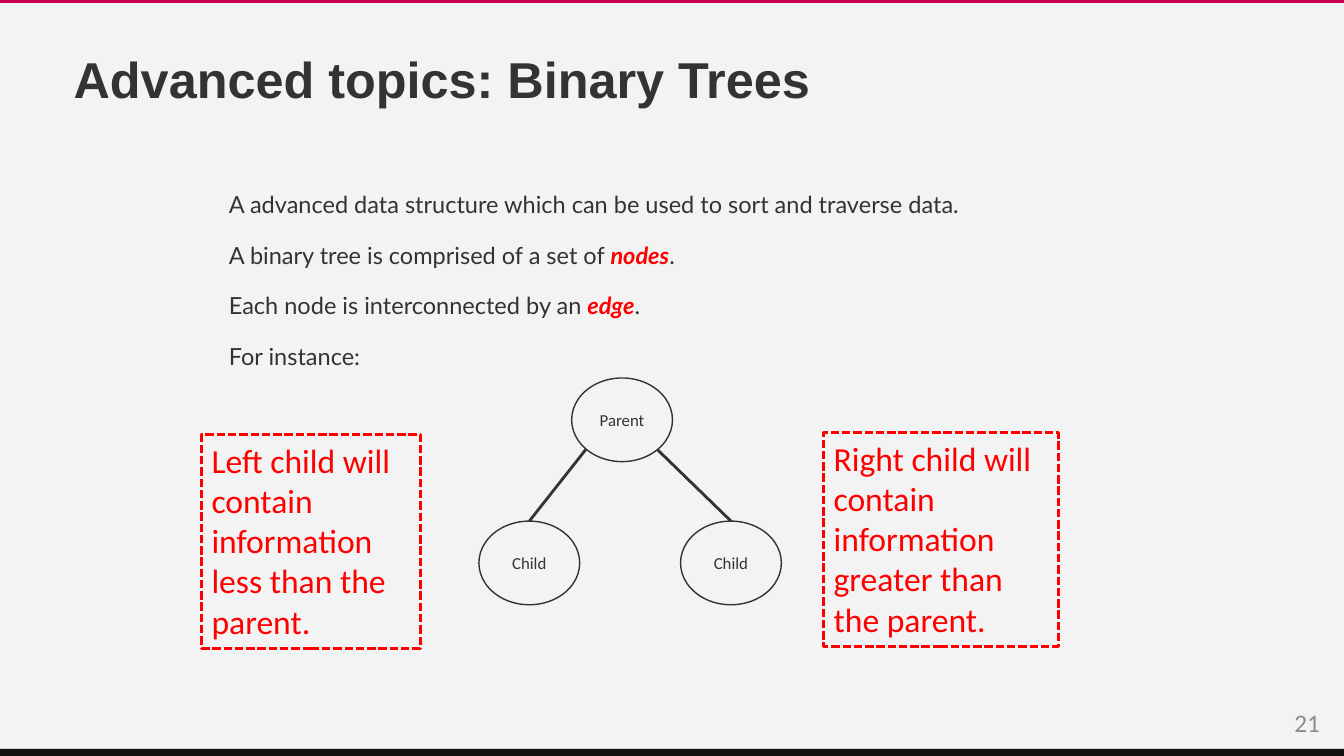
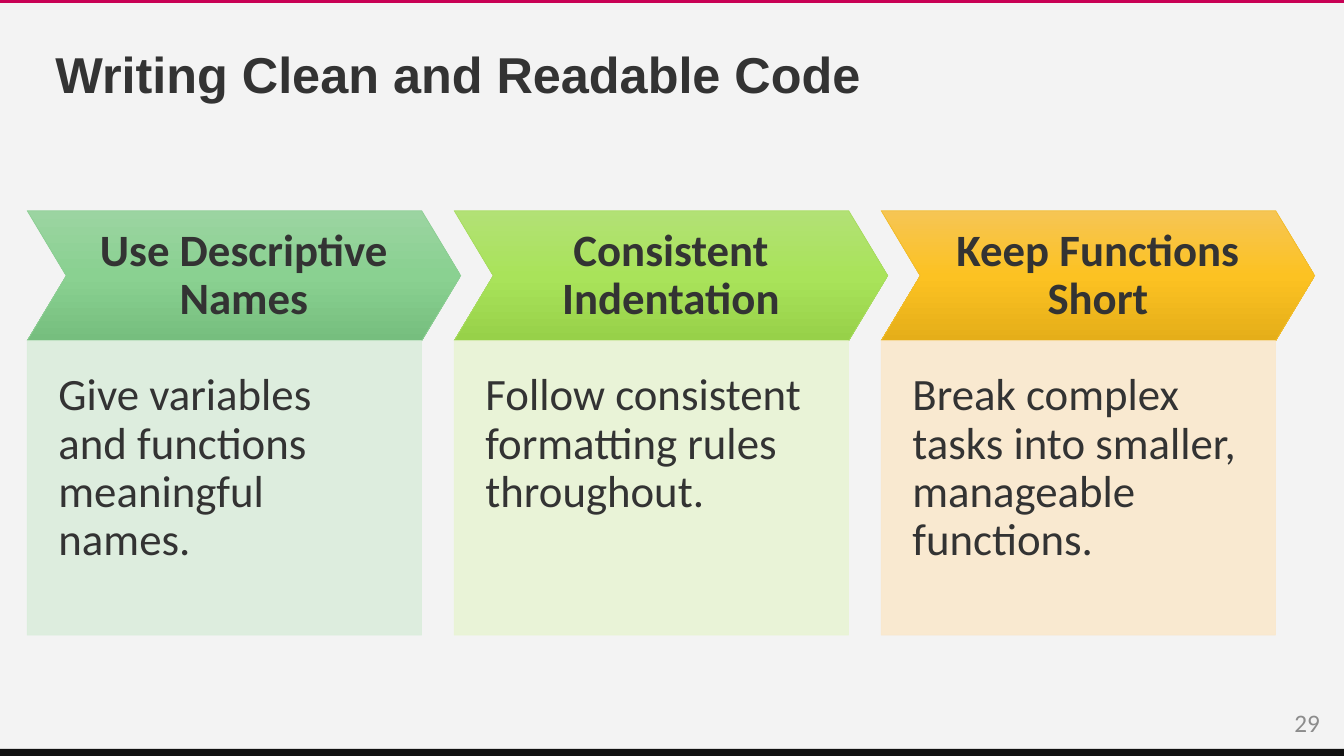
from copy import deepcopy
from lxml.etree import SubElement
from pptx import Presentation
from pptx.dml.color import RGBColor
from pptx.enum.dml import MSO_LINE
from pptx.enum.shapes import MSO_CONNECTOR, MSO_SHAPE
from pptx.enum.text import MSO_ANCHOR, MSO_AUTO_SIZE, PP_ALIGN
from pptx.oxml.ns import qn
from pptx.util import Inches, Pt

INK, RED, GREY = "333333", "FF0000", "8C8C8C"
PAPER, PINK, BLACK = "F3F3F3", "C80054", "101010"
HEAD = {"name": "Arial", "size": Pt(36), "bold": True}
BODY = {"name": "Lato", "size": Pt(16.8)}
PAGE = {"name": "Calibri", "size": Pt(18)}
NODE = {"name": "Calibri", "size": Pt(12)}
NOTE = {"name": "Calibri", "size": Pt(24)}
STEP = {"name": "Calibri", "size": Pt(32)}
BOLD = {**STEP, "bold": True}
STRONG = {**BODY, "bold": True, "italic": True}

rgb = RGBColor.from_string


def draw(slide, kind, box, fill=None, line=None, width=1):
    """Add a flat preset shape; a missing colour means no fill or no line."""
    shape = slide.shapes.add_shape(kind, *map(Inches, box))
    shape.shadow.inherit = False
    for paint, hue in ((shape.fill, fill), (shape.line.fill, line)):
        if hue:
            paint.solid()
            paint.fore_color.rgb = rgb(hue)
        else:
            paint.background()
    if line:
        shape.line.width = Pt(width)
    return shape


def write(para, text, look, hue=INK, align=PP_ALIGN.LEFT, space=1.0):
    """Add a formatted run and set how its paragraph is laid out."""
    run = para.add_run()
    run.text = text
    for key, value in look.items():
        setattr(run.font, key, value)
    run.font.color.rgb = rgb(hue)
    para.alignment = align
    para.line_spacing = space


deck = Presentation()
deck.slide_width, deck.slide_height = Inches(13.33), Inches(7.5)
master = deck.slide_master
master.background.fill.solid()
master.background.fill.fore_color.rgb = rgb(PAPER)

# Titles and page numbers
pages = [
    (1, "Advanced topics: Binary Trees", (0.63, 0.33, 9.87, 0.97),
     MSO_ANCHOR.MIDDLE, "21"),
    (5, "Writing Clean and Readable Code", (0.45, 0.45, 10.5, 1.05),
     MSO_ANCHOR.TOP, "29"),
]
for layout, text, box, anchor, number in pages:
    slide = deck.slides.add_slide(deck.slide_layouts[layout])
    title = slide.shapes.title
    title.left, title.top, title.width, title.height = map(Inches, box)
    frame = title.text_frame
    frame.auto_size = MSO_AUTO_SIZE.NONE
    frame.vertical_anchor = anchor
    write(frame.paragraphs[0], text, HEAD, space=0.9)
    label = slide.shapes.add_textbox(*map(Inches, (10.94, 6.97, 2.25, 0.4)))
    label.text_frame.word_wrap = True
    write(label.text_frame.paragraphs[0], number, PAGE, GREY, PP_ALIGN.RIGHT)

tree, code = deck.slides

# Bands shared through the master
for top, height, hue in ((7.43, 0.07, BLACK), (0, 0.03, PINK)):
    band = draw(tree, MSO_SHAPE.RECTANGLE, (0, top, 13.33, height), hue)
    master.shapes._spTree.append(band._element)

# Binary trees: text
lines = [
    [("A advanced data structure which can be used to sort and traverse data.",
      BODY, INK)],
    [("A binary tree is comprised of a set of ", BODY, INK),
     ("nodes", STRONG, RED), (".", BODY, INK)],
    [("Each node is interconnected by an ", BODY, INK),
     ("edge", STRONG, RED), (".", BODY, INK)],
    [("For instance:", BODY, INK)],
]
body = tree.placeholders[1]
body.left, body.top, body.width, body.height = map(
    Inches, (2.17, 1.75, 8.33, 2.17))
frame = body.text_frame
frame.auto_size = MSO_AUTO_SIZE.NONE
for i, parts in enumerate(lines):
    para = frame.add_paragraph() if i else frame.paragraphs[0]
    props = para._p.get_or_add_pPr()
    props.set("marL", "0")
    props.set("indent", "0")
    SubElement(props, qn("a:buNone"))
    para.space_before = Pt(10 if i else 0)
    for text, look, hue in parts:
        write(para, text, look, hue, space=1.3)

# Binary trees: nodes and edges
nodes = []
for text, left, top in (("Parent", 5.67, 3.75), ("Child", 4.75, 5.17),
                        ("Child", 6.75, 5.17)):
    node = draw(tree, MSO_SHAPE.OVAL, (left, top, 1, 0.83), line=INK)
    frame = node.text_frame
    frame.margin_left = frame.margin_right = 0
    frame.vertical_anchor = MSO_ANCHOR.MIDDLE
    write(frame.paragraphs[0], text, NODE, align=PP_ALIGN.CENTER)
    nodes.append(node)

for child, start in zip(nodes[1:], (5.81, 6.52)):
    edge = tree.shapes.add_connector(
        MSO_CONNECTOR.STRAIGHT, Inches(start), Inches(4.46), 0, 0)
    edge.end_connect(child, 0)
    edge.line.width = Pt(2)
    edge.line.color.rgb = rgb(INK)
    SubElement(edge._element.spPr, qn("a:effectLst"))

for text, box in (
    ("Left child will contain information less than the parent.",
     (2, 4.31, 2.17, 2.12)),
    ("Right child will contain information greater than the parent.",
     (8.17, 4.29, 2.33, 2.12)),
):
    note = draw(tree, MSO_SHAPE.RECTANGLE, box, line=RED, width=2)
    note.line.dash_style = MSO_LINE.SQUARE_DOT
    frame = note.text_frame
    frame.auto_size = MSO_AUTO_SIZE.SHAPE_TO_FIT_TEXT
    frame.vertical_anchor = MSO_ANCHOR.TOP
    write(frame.paragraphs[0], text, NOTE, RED)

# Clean code: three chevrons, each above a panel
steps = [
    ("Use Descriptive Names",
     "Give variables and functions meaningful names.",
     ("9BD4A1", "8AD191", "76BE7E"), "8DCE94", "DBEDDC"),
    ("Consistent Indentation",
     "Follow consistent formatting rules throughout.",
     ("B2E175", "A9E35A", "97D149"), "A8DC60", "E9F3D4"),
    ("Keep Functions Short",
     "Break complex tasks into smaller, manageable functions.",
     ("F6C554", "FCC222", "E5AE19"), "F2BD2C", "FAE8CD"),
]
first, last = 0.27, 8.74
for i, (name, text, shades, rim, pale) in enumerate(steps):
    left = first + i * (last - first) / 2
    arrow = draw(code, MSO_SHAPE.CHEVRON, (left, 2.09, 4.3, 1.29),
                 line=rim, width=0.5)
    arrow.adjustments[0] = 0.3
    arrow.fill.gradient()
    arrow.fill.gradient_angle = 270
    stops = arrow._element.spPr.find(".//" + qn("a:gsLst"))
    stops.insert(1, deepcopy(stops[0]))
    for stop, hue, spot in zip(arrow.fill.gradient_stops, shades, (0, 0.5, 1)):
        stop.color.rgb = rgb(hue)
        stop.position = spot

    panel = draw(code, MSO_SHAPE.RECTANGLE, (left, 3.38, 3.91, 2.92),
                 pale, pale, 0.5)
    for paint in panel._element.spPr.iter(qn("a:srgbClr")):
        SubElement(paint, qn("a:alpha"), val="90000")

    for shape, words, look, align, anchor, inset, base in (
        (arrow, name, BOLD, PP_ALIGN.CENTER, MSO_ANCHOR.MIDDLE, 0.16, 0.16),
        (panel, text, STEP, PP_ALIGN.LEFT, MSO_ANCHOR.TOP, 0.31, 0.62),
    ):
        frame = shape.text_frame
        frame.vertical_anchor = anchor
        for side in ("left", "top", "right"):
            setattr(frame, "margin_" + side, Inches(inset))
        frame.margin_bottom = Inches(base)
        write(frame.paragraphs[0], words, look, align=align, space=0.9)

deck.save("out.pptx")
